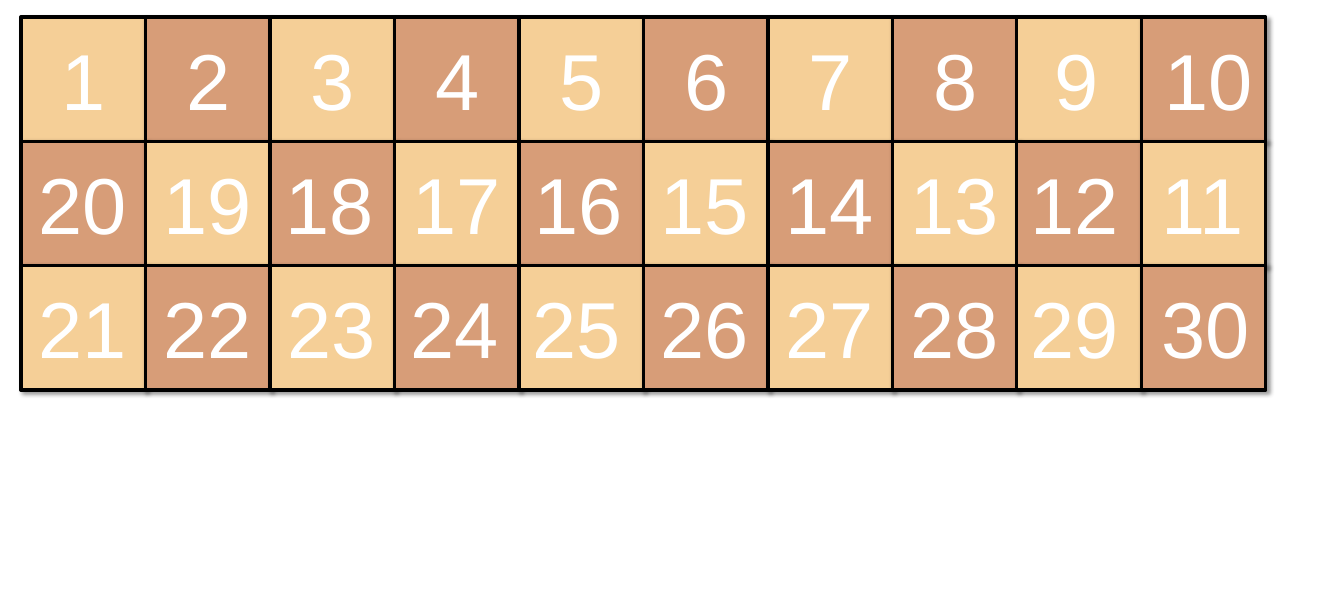
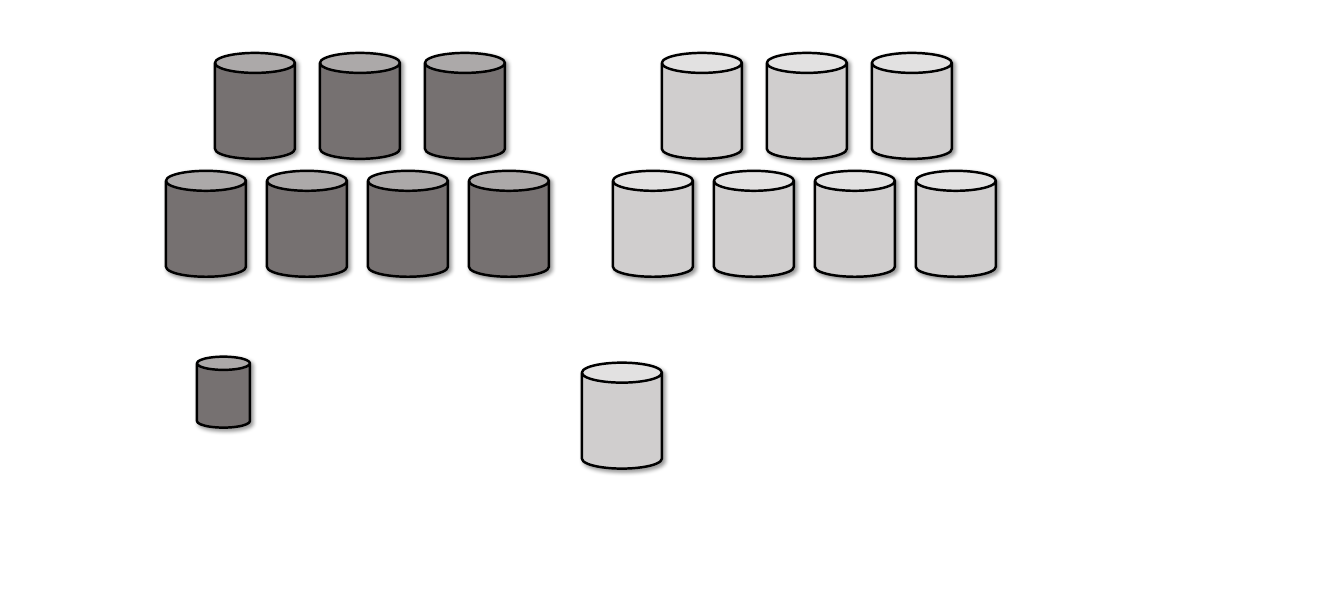
from lxml import etree
from pptx import Presentation
from pptx.dml.color import RGBColor
from pptx.enum import shapes, text
from pptx.oxml.ns import qn
from pptx import util as u

PIXEL = 914400 / 79.4

BLACK = RGBColor(0x00, 0x00, 0x00)
WHITE = RGBColor(0xFF, 0xFF, 0xFF)
SAND = RGBColor(0xF5, 0xCF, 0x97)
CLAY = RGBColor(0xD7, 0x9D, 0x78)
DARK_GREY = RGBColor(0x76, 0x71, 0x71)
LIGHT_GREY = RGBColor(0xD0, 0xCE, 0xCE)

COLUMNS = 10
TILE = 124.5
BOARD_LEFT, BOARD_TOP = 21, 17
# Distance of each number from the left edge of its tile, by row and column.
NUMBER_INSETS = (
    (33, 33, 33, 33, 33, 33, 33, 33, 30, 15),
    (10, 10, 8, 10, 8, 9, 10, 10, 6, 12),
    (10, 10, 10, 8, 6, 9, 10, 10, 6, 12),
)

CAN_WIDTH, CAN_HEIGHT = 80, 106
# Left, top, pitch and count of the rows in one stack of cans.
STACK_ROWS = ((166, 171, 101, 4), (215, 53, 105, 3))
STACK_SHIFT = 447


def emu(pixels):
    """Turn pixels into EMU."""
    return u.Emu(round(pixels * PIXEL))


class Painter:
    """Holds the shared style and the current slide."""

    font = "Arial"
    number_size = u.Pt(72)

    def __init__(self):
        """Start a wide deck."""
        self.deck = Presentation()
        self.deck.slide_width = u.Inches(16.93)
        self.deck.slide_height = u.Inches(7.5)
        self.page = None

    def new_page(self):
        """Add a blank slide and make it current."""
        self.page = self.deck.slides.add_slide(self.deck.slide_layouts[6])

    def cast_shadow(self, shape):
        """Give a shape a soft shadow to the lower right."""
        shape.shadow.inherit = False
        effects = shape._element.spPr.find(qn("a:effectLst"))
        shadow = etree.SubElement(
            effects, qn("a:outerShdw"), blurRad=str(u.Pt(4)),
            dist=str(u.Pt(3)), dir="2700000", algn="tl", rotWithShape="0")
        color = etree.SubElement(shadow, qn("a:srgbClr"), val=str(BLACK))
        etree.SubElement(color, qn("a:alpha"), val="40000")

    def outlined(self, kind, left, top, width, height, fill, weight):
        """Draw a filled shape with a black outline and a shadow."""
        shape = self.page.shapes.add_shape(
            kind, emu(left), emu(top), emu(width), emu(height))
        shape.fill.solid()
        shape.fill.fore_color.rgb = fill
        shape.line.color.rgb = BLACK
        shape.line.width = u.Pt(weight)
        self.cast_shadow(shape)

    def tile(self, left, top, fill):
        """Draw one square of the board."""
        self.outlined(shapes.MSO_SHAPE.RECTANGLE, left, top, TILE, TILE, fill, 3)

    def can(self, left, top, fill, width=CAN_WIDTH, height=CAN_HEIGHT):
        """Draw one can."""
        self.outlined(shapes.MSO_SHAPE.CAN, left, top, width, height, fill, 2.25)

    def number(self, left, top, value):
        """Write a number in large white digits."""
        width = 60 if value < 10 else 115
        box = self.page.shapes.add_textbox(
            emu(left), emu(top), emu(width), emu(104))
        frame = box.text_frame
        frame.word_wrap = True
        frame.auto_size = text.MSO_AUTO_SIZE.SHAPE_TO_FIT_TEXT
        span = frame.paragraphs[0].add_run()
        span.text = str(value)
        span.font.name = self.font
        span.font.size = self.number_size
        span.font.color.rgb = WHITE


def board_cells():
    """List value, left, top and inset of each cell, with row two reversed."""
    cells = []
    for row, insets in enumerate(NUMBER_INSETS):
        for column, inset in enumerate(insets):
            step = COLUMNS - 1 - column if row % 2 else column
            cells.append((row * COLUMNS + step + 1, BOARD_LEFT + column * TILE,
                          BOARD_TOP + row * TILE, inset))
    return cells


def draw_board(painter):
    """Draw the board of thirty numbered squares."""
    painter.new_page()
    cells = board_cells()
    for value, left, top, _ in cells:
        painter.tile(left, top, SAND if value % 2 else CLAY)
    for value, left, top, inset in cells:
        painter.number(left + inset, top + 10, value)


def draw_cans(painter):
    """Draw two stacks of cans and two single cans below."""
    painter.new_page()
    for stack, fill in enumerate((DARK_GREY, LIGHT_GREY)):
        for left, top, pitch, count in STACK_ROWS:
            for index in range(count):
                painter.can(left + stack * STACK_SHIFT + index * pitch, top, fill)
    painter.can(197, 357, DARK_GREY, 53, 71)
    painter.can(582, 363, LIGHT_GREY)


def main():
    """Build and save the deck."""
    painter = Painter()
    draw_board(painter)
    draw_cans(painter)
    painter.deck.save("out.pptx")


main()
